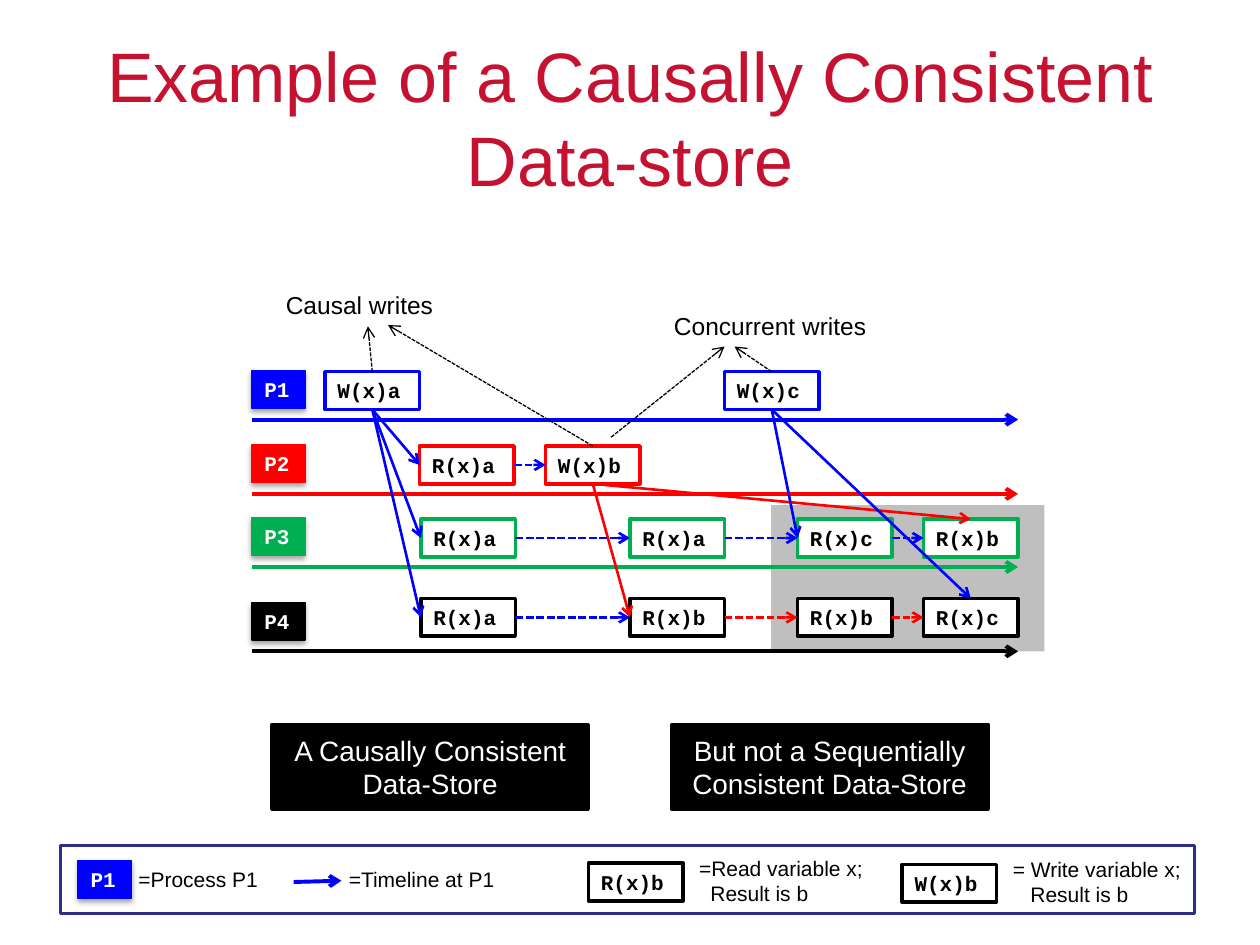
import pptx
import pptx.util
import pptx.dml.color
from pptx.enum.dml import MSO_LINE
from pptx.enum.shapes import MSO_CONNECTOR, MSO_SHAPE
from pptx.enum.text import MSO_ANCHOR, PP_ALIGN
from pptx.oxml import parse_xml
from pptx.oxml.ns import nsdecls, qn
from pptx.util import Inches, Pt

COLORS = {"blue": "0000FF", "red": "FF0000", "green": "00B050", "black": "000000",
          "white": "FFFFFF", "title": "C41230", "navy": "2D2D8A"}
CODE = {"name": "Courier New", "size": Pt(12), "bold": True}
NOTE = {"name": "Arial", "size": Pt(12)}
LABEL = {"name": "Arial", "size": Pt(14)}
CLAIM = {"name": "Arial", "size": Pt(16)}
HEAD = {"name": "Arial", "size": Pt(40), "bold": False}
TOP, LEFT, BOTTOM, RIGHT = range(4)  # connection sites of a rectangle


def rgb(name):
    return pptx.dml.color.RGBColor.from_string(COLORS[name])


def style(para, font, color, align=PP_ALIGN.LEFT):
    para.alignment = align
    for key, val in font.items():
        setattr(para.font, key, val)
    para.font.color.rgb = rgb(color)


def rect(slide, x, y, w, h, fill, line=None, width=2):
    shape = slide.shapes.add_shape(MSO_SHAPE.RECTANGLE, *map(Inches, (x, y, w, h)))
    shape.shadow.inherit = False
    shape.fill.solid()
    shape.fill.fore_color.rgb = rgb(fill)
    if line:
        shape.line.color.rgb = rgb(line)
        shape.line.width = Pt(width)
    else:
        shape.line.fill.background()
    return shape


def fade(shape, alpha):
    """Set the opacity of a solid fill, in percent."""
    color = shape.fill._xPr.find(qn("a:solidFill"))[0]
    color.append(parse_xml(f'<a:alpha {nsdecls("a")} val="{alpha * 1000}"/>'))


def event(slide, x, y, text, color):
    """Boxed read or write operation."""
    box = rect(slide, x, y, 0.75, 0.3, "white", color)
    box.text_frame.vertical_anchor = MSO_ANCHOR.TOP
    box.text_frame.text = text
    style(box.text_frame.paragraphs[0], CODE, "black")
    return box


def tag(slide, x, y, text, color):
    """Filled process name with a soft shadow below it."""
    box = rect(slide, x, y, 0.42, 0.3, color, color, 0.75)
    box.text_frame.vertical_anchor = MSO_ANCHOR.TOP
    box.text_frame.text = text
    style(box.text_frame.paragraphs[0], CODE, "white")
    box._element.spPr.find(qn("a:effectLst")).append(parse_xml(
        f'<a:outerShdw {nsdecls("a")} blurRad="{Pt(3.1)}" dist="{Pt(1.8)}" dir="5400000" '
        'rotWithShape="0"><a:srgbClr val="000000"><a:alpha val="35000"/></a:srgbClr>'
        '</a:outerShdw>'))


def note(slide, x, y, w, h, lines, font=NOTE, indent=0):
    """Plain text whose lines after the first are indented."""
    frame = slide.shapes.add_textbox(*map(Inches, (x, y, w, h))).text_frame
    frame.word_wrap = True
    frame.text = "\n".join(lines)
    for i, para in enumerate(frame.paragraphs):
        if i and indent:
            para._p.get_or_add_pPr().set("marL", str(Inches(indent)))
        style(para, font, "black")


def arrow(slide, start, end, color, width=1.5, dash=False):
    """Arrow between ends, each a point or a (shape, site) pair."""
    free = [(0, 0) if hasattr(p[0], "shape_id") else p for p in (start, end)]
    line = slide.shapes.add_connector(
        MSO_CONNECTOR.STRAIGHT, *(Inches(v) for p in free for v in p))
    for p, join in ((start, line.begin_connect), (end, line.end_connect)):
        if hasattr(p[0], "shape_id"):
            join(*p)
    line.line.color.rgb = rgb(color)
    line.line.width = Pt(width)
    if dash:
        line.line.dash_style = MSO_LINE.SQUARE_DOT
    line.line._get_or_add_ln().append(parse_xml(f'<a:tailEnd {nsdecls("a")} type="arrow"/>'))
    line._element.spPr.append(parse_xml(f'<a:effectLst {nsdecls("a")}/>'))


def title(slide, x, y, w, h, text):
    head = slide.shapes.title
    box = {"left": x, "top": y, "width": w, "height": h}
    for key, val in box.items():
        setattr(head, key, Inches(val))
    head.text_frame.text = text
    head.text_frame.vertical_anchor = MSO_ANCHOR.MIDDLE
    style(head.text_frame.paragraphs[0], HEAD, "title", PP_ALIGN.CENTER)


def board(slide, x, y):
    """Timelines of four processes, their operations and the arrows between them."""
    fade(rect(slide, x + 4.12, y + 1.76, 2.17, 1.16, "black"), 25)
    rows = [
        ("P1", "blue", 1.08, [(0.58, "W(x)a"), (3.75, "W(x)c")]),
        ("P2", "red", 1.67, [(1.33, "R(x)a"), (2.33, "W(x)b")]),
        ("P3", "green", 2.25, [(1.34, "R(x)a"), (3, "R(x)a"), (4.33, "R(x)c"), (5.33, "R(x)b")]),
        ("P4", "black", 2.92, [(1.34, "R(x)a"), (3, "R(x)b"), (4.33, "R(x)b"), (5.33, "R(x)c")]),
    ]
    ops = {}
    for name, color, base, events in rows:
        arrow(slide, (x, y + base), (x + 6.08, y + base), color, 2.25)
        tag(slide, x, y + base - 0.39, name, color)
        rise = 0.42 if name == "P4" else 0.38
        ops[name] = [event(slide, x + dx, y + base - rise, text, color)
                     for dx, text in events]

    first, last = ops["P1"]
    read, write = ops["P2"]
    third, fourth = ops["P3"], ops["P4"]
    spread = [(first, read, LEFT, "blue"), (first, third[0], LEFT, "blue"),
              (first, fourth[0], LEFT, "blue"), (write, fourth[1], LEFT, "red"),
              (write, third[3], TOP, "red"), (last, third[2], LEFT, "blue"),
              (last, fourth[3], TOP, "blue")]
    for src, dst, site, color in spread:
        arrow(slide, (src, BOTTOM), (dst, site), color)

    for chain, colors in ((ops["P2"], ["blue"]), (third, ["blue"] * 3),
                          (fourth, ["blue", "red", "red"])):
        for src, dst, color in zip(chain, chain[1:], colors):
            arrow(slide, (src, RIGHT), (dst, LEFT), color, dash=True)

    note(slide, x + 0.17, y, 1.5, 0.34, ["Causal writes"], LABEL)
    note(slide, x + 3.25, y + 0.17, 1.75, 0.34, ["Concurrent writes"], LABEL)
    hints = [((first, TOP), 0.92, 0.34), ((write, TOP), 1.08, 0.33),
             ((x + 2.85, y + 1.22), 3.75, 0.5), ((last, TOP), 3.83, 0.5)]
    for start, dx, dy in hints:
        arrow(slide, start, (x + dx, y + dy), "black", 0.75, True)


def claims(slide, x, y):
    texts = ["A Causally Consistent Data-Store",
             "But not a Sequentially Consistent Data-Store"]
    for i, text in enumerate(texts):
        box = rect(slide, x + i * 3.17, y, 2.51, 0.67, "black", "black")
        box.text_frame.text = text
        style(box.text_frame.paragraphs[0], CLAIM, "white", PP_ALIGN.CENTER)


def legend(slide, x, y, w, h):
    rect(slide, x, y, w, h, "white", "navy")
    tag(slide, x + 0.14, y + 0.12, "P1", "blue")
    note(slide, x + 0.52, y + 0.12, 1.5, 0.3, ["=Process P1"])
    arrow(slide, (x + 1.85, y + 0.29), (x + 2.23, y + 0.28), "blue", 2.25)
    note(slide, x + 2.19, y + 0.12, 1.5, 0.3, ["=Timeline at P1"])
    event(slide, x + 4.19, y + 0.14, "R(x)b", "black")
    note(slide, x + 4.97, y + 0.03, 1.5, 0.5, ["=Read variable x;", "Result is b"], indent=0.09)
    event(slide, x + 6.68, y + 0.15, "W(x)b", "black")
    note(slide, x + 7.46, y + 0.04, 1.56, 0.5, ["= Write variable x;", "Result is b"], indent=0.14)


def main():
    deck = pptx.Presentation()
    deck.slide_width, deck.slide_height = Inches(10), Inches(7.5)
    slide = deck.slides.add_slide(deck.slide_layouts.get_by_name("Title Only"))
    title(slide, 0.5, 0.3, 9, 1.25, "Example of a Causally Consistent Data-store")
    board(slide, 2, 2.25)
    claims(slide, 2.16, 5.75)
    legend(slide, 0.48, 6.71, 9, 0.54)
    deck.save("out.pptx")


if __name__ == "__main__":
    main()
